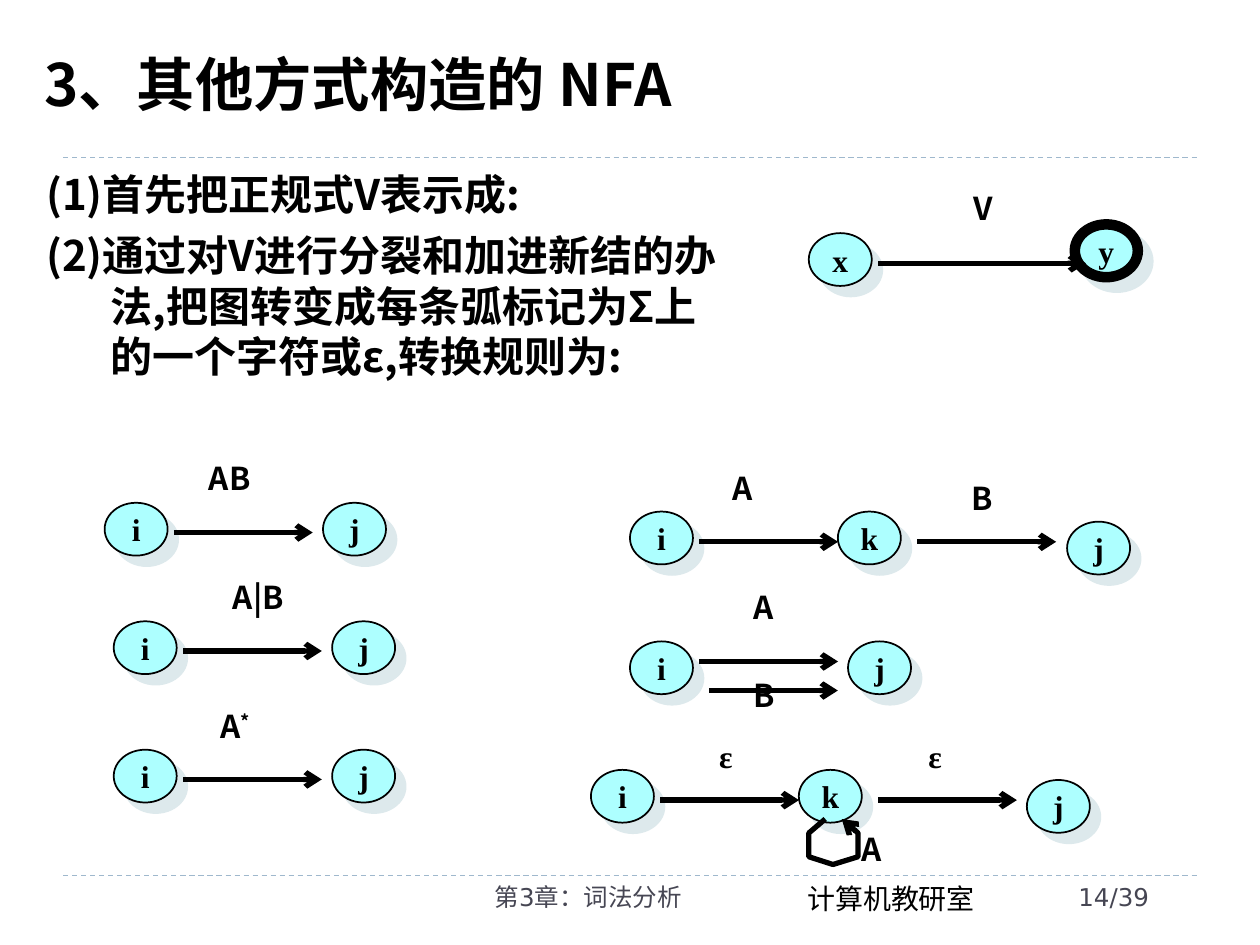
from lxml.etree import SubElement
from pptx import Presentation
from pptx.dml.color import RGBColor
from pptx.enum.dml import MSO_LINE
from pptx.enum.shapes import MSO_CONNECTOR, MSO_SHAPE
from pptx.enum.text import MSO_ANCHOR, MSO_AUTO_SIZE, PP_ALIGN
from pptx.oxml.ns import qn
from pptx.util import Pt

SANS, SERIF, FOOTER = "Noto Sans CJK SC", "Times New Roman", "DejaVu Sans"
BLACK, NODE_FILL, NODE_SHADOW = "000000", "ADFFFF", "DDE9EC"
RULE_COLOR, FOOTER_COLOR = "9FB8CD", "464653"
NODE_W, NODE_H = 36, 30.2
ARROW_GAP, ARROW_LENGTH = 39.6, 79.3


def color(value):
    return RGBColor.from_string(value)


def add_run(paragraph, text, *, size, font, fill, bold, baseline=None):
    run = paragraph.add_run()
    run.text = text
    run.font.size = Pt(size)
    run.font.name = font
    run.font.bold = bold
    run.font.color.rgb = color(fill)
    properties = run.font._element
    SubElement(properties, qn("a:ea")).set("typeface", SANS)
    if baseline:
        properties.set("baseline", str(baseline * 1000))


def write(frame, *paragraphs, size=18, font=SANS, fill=BLACK, bold=True, align=PP_ALIGN.LEFT,
          anchor=MSO_ANCHOR.TOP, wrap=False, hanging=0, before=0, spacing=None, superscript=""):
    """Fill a text frame, one paragraph per string; superscript follows the last one."""
    frame.auto_size = MSO_AUTO_SIZE.NONE
    frame.word_wrap = wrap
    frame.vertical_anchor = anchor
    style = dict(size=size, font=font, fill=fill, bold=bold)
    for index, text in enumerate(paragraphs):
        paragraph = frame.add_paragraph() if index else frame.paragraphs[0]
        paragraph.alignment = align
        paragraph.space_before = Pt(before)
        if spacing:
            paragraph.line_spacing = spacing
        if hanging:
            properties = paragraph._p.get_or_add_pPr()
            properties.set("marL", str(Pt(hanging)))
            properties.set("indent", str(-Pt(hanging)))
        add_run(paragraph, text, **style)
    if superscript:
        add_run(paragraph, superscript, baseline=30, **style)


def place(shape, left, top, width, height):
    shape.left, shape.top, shape.width, shape.height = map(Pt, (left, top, width, height))


def add_text(slide, box, *paragraphs, **style):
    write(slide.shapes.add_textbox(*map(Pt, box)).text_frame, *paragraphs, **style)


def add_label(slide, left, top, text, **style):
    add_text(slide, (left, top, 26.6, 29), text, **style)


def add_arrowhead(shape):
    SubElement(shape._element.spPr.find(qn("a:ln")), qn("a:tailEnd")).set("type", "arrow")


def add_line(slide, left, top, length, *, stroke=BLACK, width=3, dashed=False):
    line = slide.shapes.add_connector(
        MSO_CONNECTOR.STRAIGHT, Pt(left), Pt(top), Pt(left + length), Pt(top))
    line.line.color.rgb = color(stroke)
    line.line.width = Pt(width)
    if dashed:
        line.line.dash_style = MSO_LINE.DASH
    SubElement(line._element.spPr, qn("a:effectLst"))
    return line


def add_arrow(slide, left, top, length=ARROW_LENGTH):
    add_arrowhead(add_line(slide, left, top, length))


def add_node(slide, left, top, name, outline=1):
    node = slide.shapes.add_shape(MSO_SHAPE.OVAL, Pt(left), Pt(top), Pt(NODE_W), Pt(NODE_H))
    node.fill.solid()
    node.fill.fore_color.rgb = color(NODE_FILL)
    node.line.color.rgb = color(BLACK)
    node.line.width = Pt(outline)
    node.shadow.inherit = False
    effects = node._element.spPr.find(qn("a:effectLst"))
    shadow = SubElement(effects, qn("a:outerShdw"), blurRad="0", dist=str(Pt(8.5)),
                        dir=str(45 * 60000), algn="ctr", rotWithShape="0")
    SubElement(shadow, qn("a:srgbClr")).set("val", NODE_SHADOW)
    write(node.text_frame, name, font=SERIF, align=PP_ALIGN.CENTER, anchor=MSO_ANCHOR.MIDDLE)


def add_transition(slide, left, top):
    """Draw state i, an arrow and state j in one row."""
    add_node(slide, left, top, "i")
    add_node(slide, left + 124.8, top, "j")
    add_arrow(slide, left + ARROW_GAP, top + 17)


def add_chain(slide, left, top, k_left, j_left, arrow_top, second_arrow):
    """Draw state i, state k and a slightly lower state j, joined by two arrows."""
    add_node(slide, left, top, "i")
    add_node(slide, k_left, top, "k")
    add_node(slide, j_left, top + 5.8, "j")
    add_arrow(slide, left + ARROW_GAP, arrow_top)
    add_arrow(slide, second_arrow, arrow_top)


def add_loop(slide):
    start, *corners = [(471.6, 468), (462.2, 476), (462.2, 489.6), (476, 494),
                       (490.3, 489.6), (490.3, 476), (481, 468)]
    builder = slide.shapes.build_freeform(*map(Pt, start))
    builder.add_line_segments([(Pt(x), Pt(y)) for x, y in corners], close=False)
    loop = builder.convert_to_shape()
    loop.fill.background()
    loop.line.color.rgb = color(BLACK)
    loop.line.width = Pt(3)
    loop.shadow.inherit = False
    add_arrowhead(loop)


def add_frame(slide):
    for top in (90, 500.4):
        add_line(slide, 36, top, 648, stroke=RULE_COLOR, width=0.75, dashed=True)
    add_text(slide, (454.3, 500.4, 119.5, 26.6), "计算机教研室", size=16, font=SERIF,
             bold=False, wrap=True)
    footer = dict(size=14, font=FOOTER, fill=FOOTER_COLOR, bold=False, wrap=True)
    add_text(slide, (228.2, 500.4, 216, 28.8), "第3章：词法分析", align=PP_ALIGN.CENTER, **footer)
    add_text(slide, (609.1, 500.4, 82.8, 28.8), "14/39", **footer)


def add_wording(slide):
    place(slide.shapes.title, 18, 30.2, 648, 41.8)
    write(slide.shapes.title.text_frame, "3、其他方式构造的 NFA", size=33.3, wrap=True,
          anchor=MSO_ANCHOR.MIDDLE, hanging=21.6, before=6, spacing=0.8)
    add_text(slide, (19.4, 92.9, 408.2, 138.2), "(1)首先把正规式V表示成:",
             "(2)通过对V进行分裂和加进新结的办法,把图转变成每条弧标记为Σ上的一个字符或ε,转换规则为:",
             size=24, wrap=True, hanging=36.7, before=6)


def add_start_graph(slide):
    add_node(slide, 462.2, 133.2, "x")
    add_node(slide, 614.2, 128.2, "y", outline=6)
    add_arrow(slide, 501.8, 150.5, 118.8)
    add_label(slide, 549.4, 104.4, "V")


def add_rules_before(slide):
    for left, top in ((59.8, 287.3), (65, 355), (65, 428.4)):
        add_transition(slide, left, top)
    add_label(slide, 112.3, 258.5, "AB")
    add_label(slide, 126, 326.9, "A|B")
    add_label(slide, 118.8, 400.3, "A", superscript="*")


def add_rules_after(slide):
    add_chain(slide, 360, 292.3, 478.8, 609.8, 309.6, 524.2)
    add_label(slide, 411.8, 264.2, "A")
    add_label(slide, 547.9, 270, "B")

    add_node(slide, 360, 366.5, "i")
    add_node(slide, 484.6, 366.5, "j")
    add_arrow(slide, 399.6, 378)
    add_arrow(slide, 405.4, 394.6, 73.4)
    add_label(slide, 423.4, 332.6, "A")
    add_label(slide, 423.4, 383, "B")

    add_chain(slide, 337.7, 439.9, 456.5, 586.8, 457.2, 501.8)
    for left in (403.9, 523.4):
        add_label(slide, left, 417.6, "ε", font=SERIF)
    add_loop(slide)
    add_label(slide, 485.3, 470.9, "A")


def main():
    deck = Presentation()
    deck.slide_width, deck.slide_height = Pt(720), Pt(540)
    slide = deck.slides.add_slide(deck.slide_layouts[5])
    add_frame(slide)
    add_wording(slide)
    add_start_graph(slide)
    add_rules_before(slide)
    add_rules_after(slide)
    deck.save("out.pptx")


if __name__ == "__main__":
    main()
